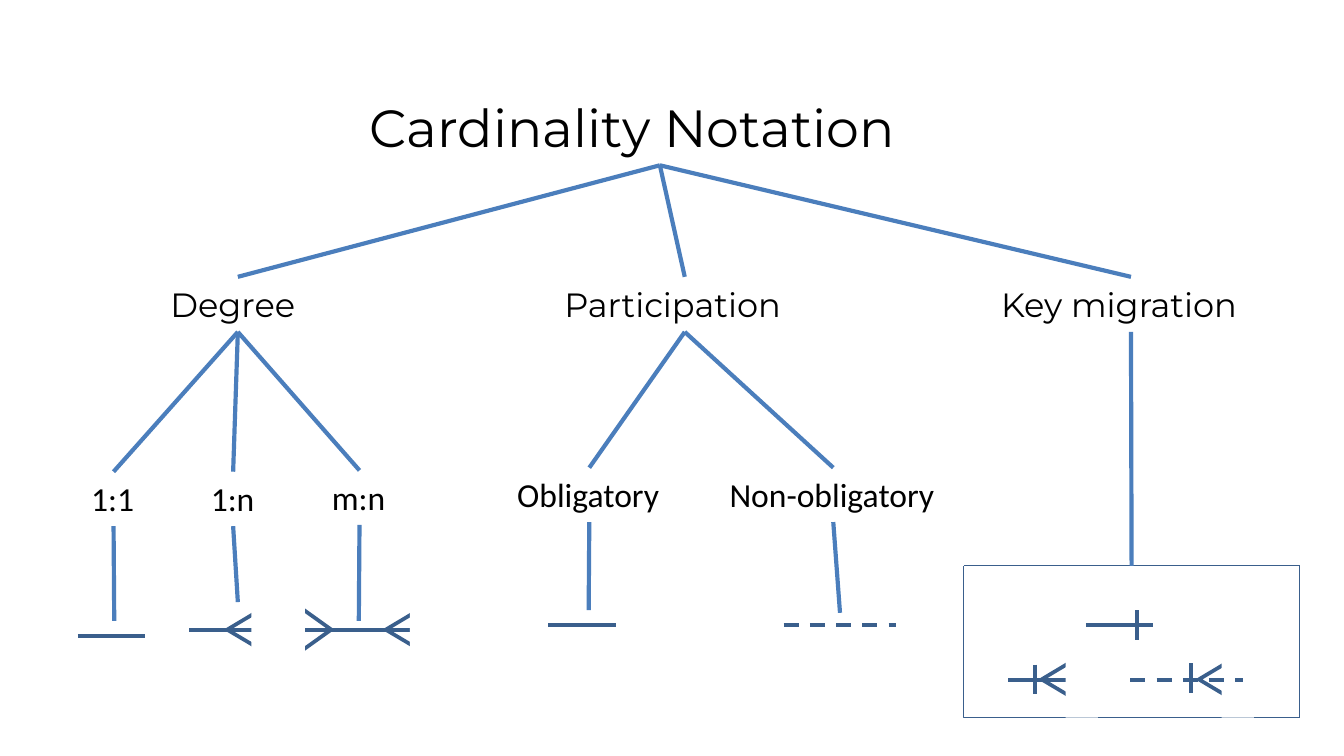
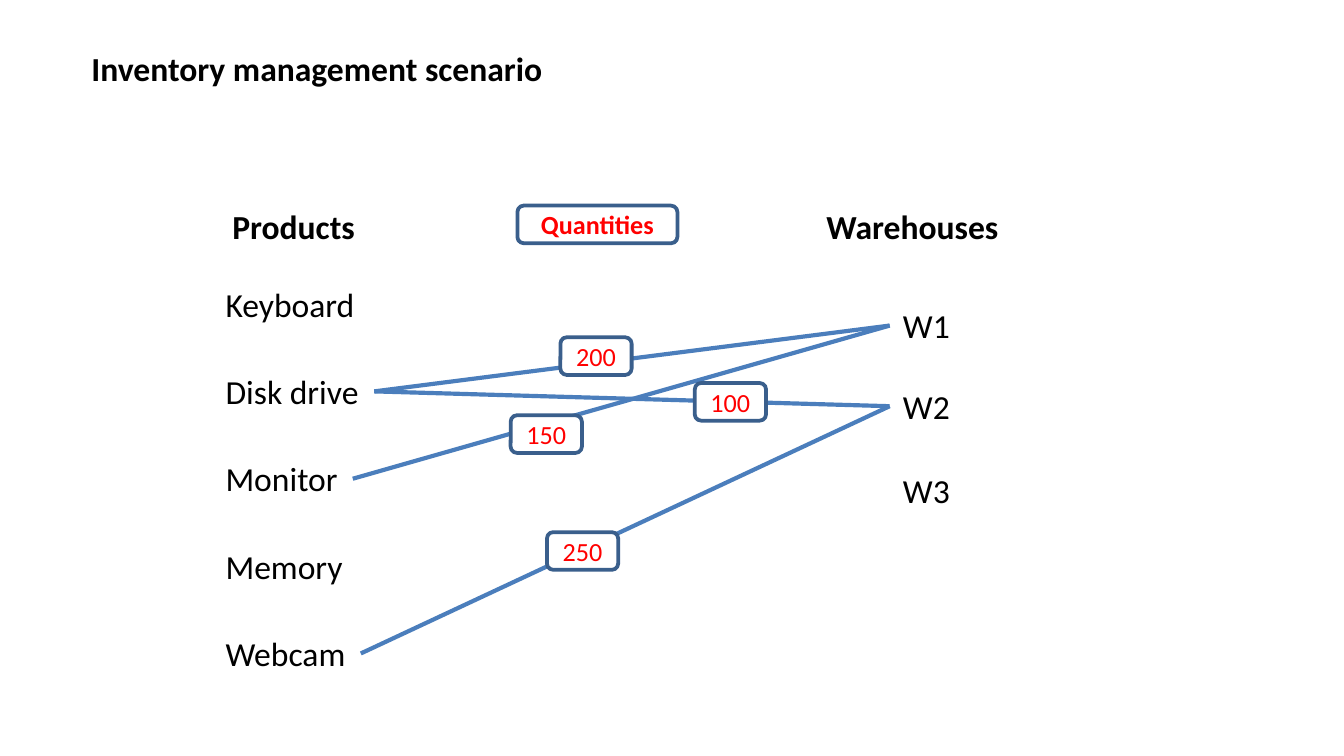
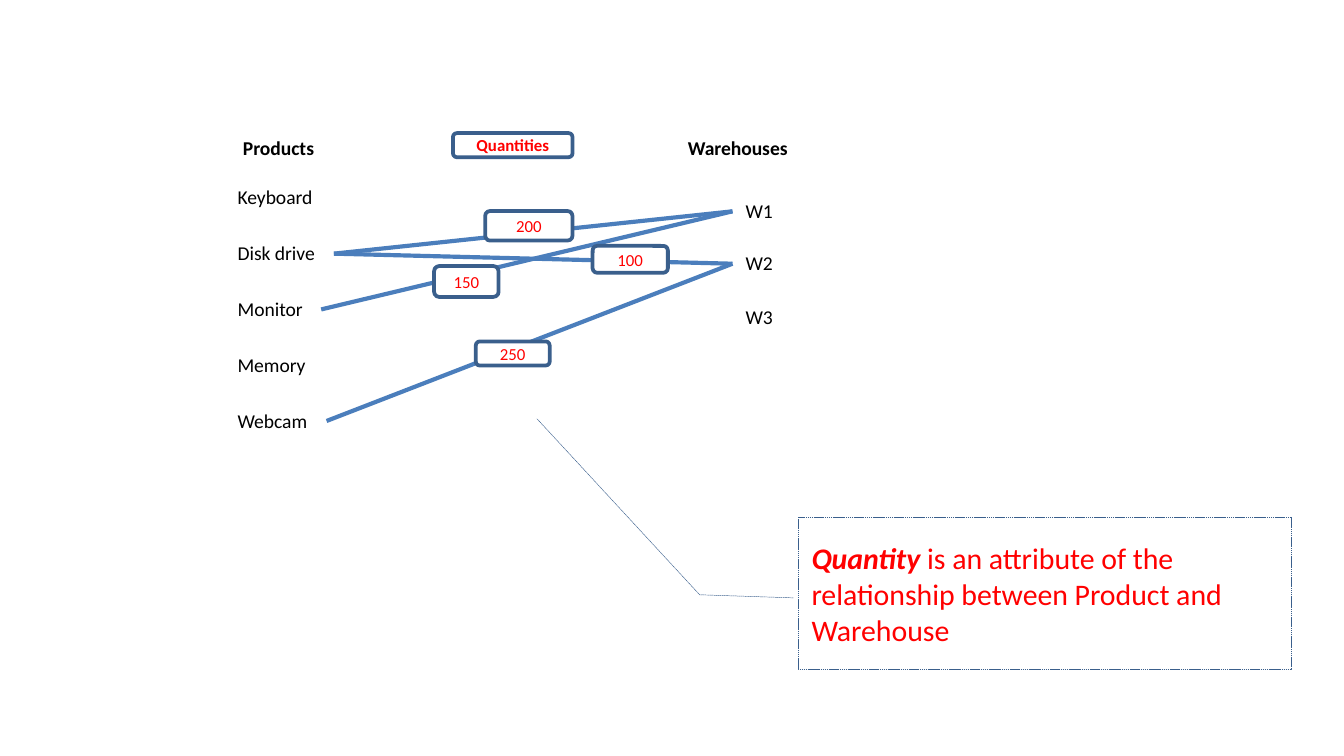
from lxml import etree
from pptx import Presentation
from pptx import util as u
from pptx.dml.color import RGBColor
from pptx.enum import dml, shapes, text
from pptx.oxml.ns import qn

COLORS = {"ink": "000000", "paper": "FFFFFF", "link": "4B7EBC", "symbol": "3A5F8C", "quantity": "FF0000"}
BODY, DISPLAY = "Calibri", "Montserrat"
WIDTH, HEIGHT = u.Inches(10), u.Inches(5.625)
COLUMNS = 100
CELL = WIDTH / COLUMNS
SHAPE = shapes.MSO_SHAPE
TOP, LEFT, BOTTOM, RIGHT = range(4)

PRODUCTS = {"Keyboard": (11.7, 8), "Disk drive": (12.05, 8.15), "Monitor": (10.45, 7.2),
            "Memory": (10.8, 7.4), "Webcam": (11.05, 7.6)}
STOCK = [("Disk drive", "W2"), ("Monitor", "W1"), ("Webcam", "W2"), ("Disk drive", "W1")]


def grid(*cells):
    """Turn square grid cells into slide lengths."""
    return [u.Emu(round(c * CELL)) for c in cells]


def rgb(name):
    """Look up a named colour."""
    return RGBColor.from_string(COLORS[name])


def style(tf, size, color="ink", font=BODY, bold=False, align=text.PP_ALIGN.LEFT):
    """Format every run of a text frame."""
    for p in tf.paragraphs:
        p.alignment = align
        for r in p.runs:
            r.font.name, r.font.size, r.font.bold = font, u.Pt(size), bold
            r.font.color.rgb = rgb(color)


def fit(tf, wrap=False):
    """Anchor text at the top and let its box follow the text."""
    tf.word_wrap = wrap
    tf.auto_size = text.MSO_AUTO_SIZE.SHAPE_TO_FIT_TEXT
    tf.vertical_anchor = text.MSO_ANCHOR.TOP


def label(s, words, box, size=18, **look):
    """Add a one-line text box."""
    sp = s.shapes.add_textbox(*grid(*box))
    sp.text_frame.text = words
    fit(sp.text_frame)
    style(sp.text_frame, size, **look)
    return sp


def title(s, words, box, size, wrap=False, **look):
    """Place and format the title placeholder."""
    sp = s.shapes.title
    sp.left, sp.top, sp.width, sp.height = grid(*box)
    sp.text_frame.text = words
    fit(sp.text_frame, wrap)
    style(sp.text_frame, size, **look)
    return sp


def block(s, kind, box, fill="paper", line="symbol", weight=2.0, dash=None):
    """Add a flat preset shape."""
    sp = s.shapes.add_shape(kind, *grid(*box))
    sp.shadow.inherit = False
    if fill:
        sp.fill.solid()
        sp.fill.fore_color.rgb = rgb(fill)
    else:
        sp.fill.background()
    if line:
        sp.line.color.rgb = rgb(line)
        sp.line.width = u.Pt(weight)
        sp.line.dash_style = dash
    else:
        sp.line.fill.background()
    return sp


def stroke(s, ends, color="symbol", weight=2.0, dash=None):
    """Draw a straight line between two grid points."""
    c = s.shapes.add_connector(shapes.MSO_CONNECTOR.STRAIGHT, *grid(*ends))
    c.line.color.rgb = rgb(color)
    c.line.width = u.Pt(weight)
    c.line.dash_style = dash
    etree.SubElement(c._element.spPr, qn("a:effectLst"))
    return c


def link(s, start, end, sides=(BOTTOM, TOP)):
    """Link a box to another box or to a grid point."""
    to_point = isinstance(end, tuple)
    c = stroke(s, (0, 0, *end) if to_point else (0, 0, 0, 0), "link", 2.25)
    c.begin_connect(start, sides[0])
    if not to_point:
        c.end_connect(end, sides[1])


def foot(s, x, y, length=2.5, rotation=270):
    """Add the triangle of a crow's foot centred on a point."""
    sp = block(s, SHAPE.ISOSCELES_TRIANGLE, (x - length / 2, y - 1.05, length, 2.1))
    sp.rotation = rotation


def mask(s, x, y):
    """Hide the base of a crow's foot."""
    block(s, SHAPE.RECTANGLE, (x, y, 2.4, 5), line=None)


def symbols(s):
    """Draw the degree and participation symbols."""
    dash = dml.MSO_LINE.DASH
    stroke(s, (5.8, 47.3, 10.8, 47.3))
    foot(s, 23.6, 46.85, 3, 90)
    foot(s, 29.75, 46.85)
    stroke(s, (22.5, 46.9, 30.7, 46.9))
    foot(s, 17.95, 46.85)
    stroke(s, (14.1, 46.9, 19.1, 46.9))
    for x in (18.7, 20.3, 30.5):
        mask(s, x, 44.8)
    stroke(s, (40.8, 46.5, 45.8, 46.5))
    stroke(s, (58.3, 46.5, 66.7, 46.5), dash=dash)


def key_box(s):
    """Draw the framed key migration symbols."""
    frame = block(s, SHAPE.RECTANGLE, (71.7, 42.1, 25, 11.3), weight=0.25, dash=dml.MSO_LINE.ROUND_DOT)
    foot(s, 90.25, 50.55)
    mask(s, 90.9, 48.4)
    foot(s, 78.55, 50.55)
    stroke(s, (75, 50.6, 80, 50.6))
    mask(s, 79.3, 48.4)
    stroke(s, (80.8, 46.5, 85.8, 46.5))
    stroke(s, (84.1, 50.6, 92.5, 50.6), dash=dml.MSO_LINE.DASH)
    for x, y in ((84.6, 46.5), (77, 50.55), (88.6, 50.45)):
        stroke(s, (x, y - 1.1, x, y + 1.1))
    return frame


def notation_slide(prs):
    """Build the tree of cardinality notations."""
    s = prs.slides.add_slide(prs.slide_layouts[5])
    root = title(s, "Cardinality Notation", (26.5, 6.6, 45.2, 5.7), 28, font=DISPLAY)
    symbols(s)
    frame = key_box(s)
    tree = [
        ("Degree", 11.7, 12, [("1:1", 5.8, 35.1, 5.3, (8.5, 46.2)),
                              ("1:n", 14.7, 35.1, 5.3, (17.7, 44.8)),
                              ("m:n", 23.7, 35, 6.1, (26.7, 46.2))]),
        ("Participation", 41, 19.9, [("Obligatory", 37.5, 34.8, 12.7, (43.8, 45.4)),
                                     ("Non-obligatory", 53.3, 34.8, 17.4, (62.5, 45.6))]),
        ("Key migration", 73.5, 21.3, []),
    ]
    for branch, x, width, leaves in tree:
        node = label(s, branch, (x, 20.6, width, 4.1), font=DISPLAY)
        link(s, root, node)
        for words, left, top, wide, tip in leaves:
            leaf = label(s, words, (left, top, wide, 4.05))
            link(s, node, leaf)
            link(s, leaf, tip)
    link(s, node, frame)


def stock_map(s, size, small, height, heads, products, warehouses, badges):
    """Draw products linked to warehouses with quantities."""
    top, (left, right) = heads["top"], heads["columns"]
    for words, x, width in zip(("Products", "Warehouses"), (left, right), heads["widths"]):
        label(s, words, (x, top, width, height), size, bold=True)
    x, y, pitch, column = products
    nodes = {name: label(s, name, (x, y + i * pitch, widths[column], height), size)
             for i, (name, widths) in enumerate(PRODUCTS.items())}
    x, width, tops = warehouses
    for i, y in enumerate(tops, 1):
        nodes[f"W{i}"] = label(s, f"W{i}", (x, y, width, height), size)
    for product, warehouse in STOCK:
        link(s, nodes[product], nodes[warehouse], (RIGHT, LEFT))
    for words, box in badges.items():
        sp = block(s, SHAPE.ROUNDED_RECTANGLE, box)
        sp.text_frame.text = words
        sp.text_frame.vertical_anchor = text.MSO_ANCHOR.MIDDLE
        style(sp.text_frame, small, "quantity", bold=words == "Quantities", align=text.PP_ALIGN.CENTER)


def inventory_slide(prs):
    """Build the full-size inventory scenario."""
    s = prs.slides.add_slide(prs.slide_layouts[5])
    sp = title(s, "Inventory management scenario", (5.8, 3.1, 91.7, 4), 18, wrap=True, bold=True)
    sp.text_frame.paragraphs[0].space_after = u.Pt(12)
    places = {"200": (41.7, 25.1), "100": (51.7, 28.5), "150": (38, 30.9), "250": (40.7, 39.6)}
    badges = {words: (*at, 5.3, 2.8) for words, at in places.items()}
    badges["Quantities"] = (38.5, 15.3, 11.9, 2.8)
    heads = {"top": 14.8, "columns": (16.3, 60.5), "widths": (11.2, 14.9)}
    stock_map(s, 18, 14, 4.05, heads, (15.8, 20.6, 6.5, 0),
              (66.2, 5.5, (22.2, 28.2, 34.5)), badges)


def attribute_slide(prs):
    """Build the reduced scenario with its explanation."""
    s = prs.slides.add_slide(prs.slide_layouts[6])
    badges = {"200": (36.1, 15.7, 6.5, 2.2), "100": (44.1, 18.3, 5.6, 2),
              "150": (32.3, 19.8, 4.8, 2.3), "250": (35.4, 25.4, 5.5, 1.8),
              "Quantities": (33.7, 9.9, 8.9, 1.8)}
    heads = {"top": 9.6, "columns": (17.1, 50.2), "widths": (7.7, 10)}
    stock_map(s, 10.5, 9, 2.85, heads, (16.7, 13.3, 4.15, 1),
              (54.5, 4.2, (14.3, 18.2, 22.2)), badges)
    sp = block(s, SHAPE.LINE_CALLOUT_2, (59.4, 38.5, 36.7, 11.3), fill=None, weight=0.25,
               dash=dml.MSO_LINE.SQUARE_DOT)
    for i, share in enumerate((0.53, -0.01, 0.51, -0.2, -0.65, -0.53)):
        sp.adjustments[i] = share
    tf = sp.text_frame
    tf.word_wrap = True
    tf.vertical_anchor = text.MSO_ANCHOR.MIDDLE
    p = tf.paragraphs[0]
    for words in ("Quantity", " is an attribute of the relationship between Product and Warehouse"):
        p.add_run().text = words
    style(tf, 16, "quantity")
    p.runs[0].font.bold = p.runs[0].font.italic = True


def main():
    """Build and save the presentation."""
    prs = Presentation()
    prs.slide_width, prs.slide_height = WIDTH, HEIGHT
    notation_slide(prs)
    inventory_slide(prs)
    attribute_slide(prs)
    prs.save("out.pptx")


if __name__ == "__main__":
    main()
